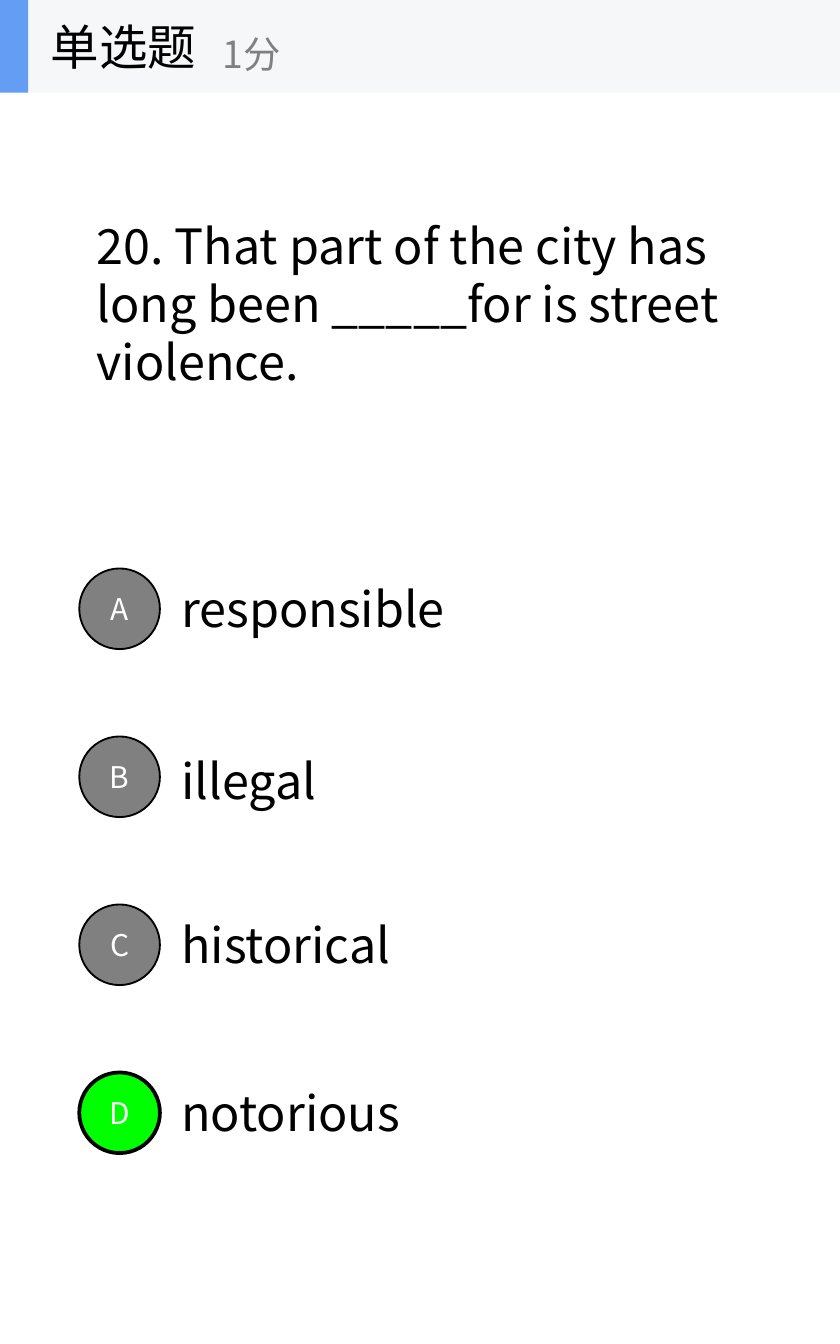
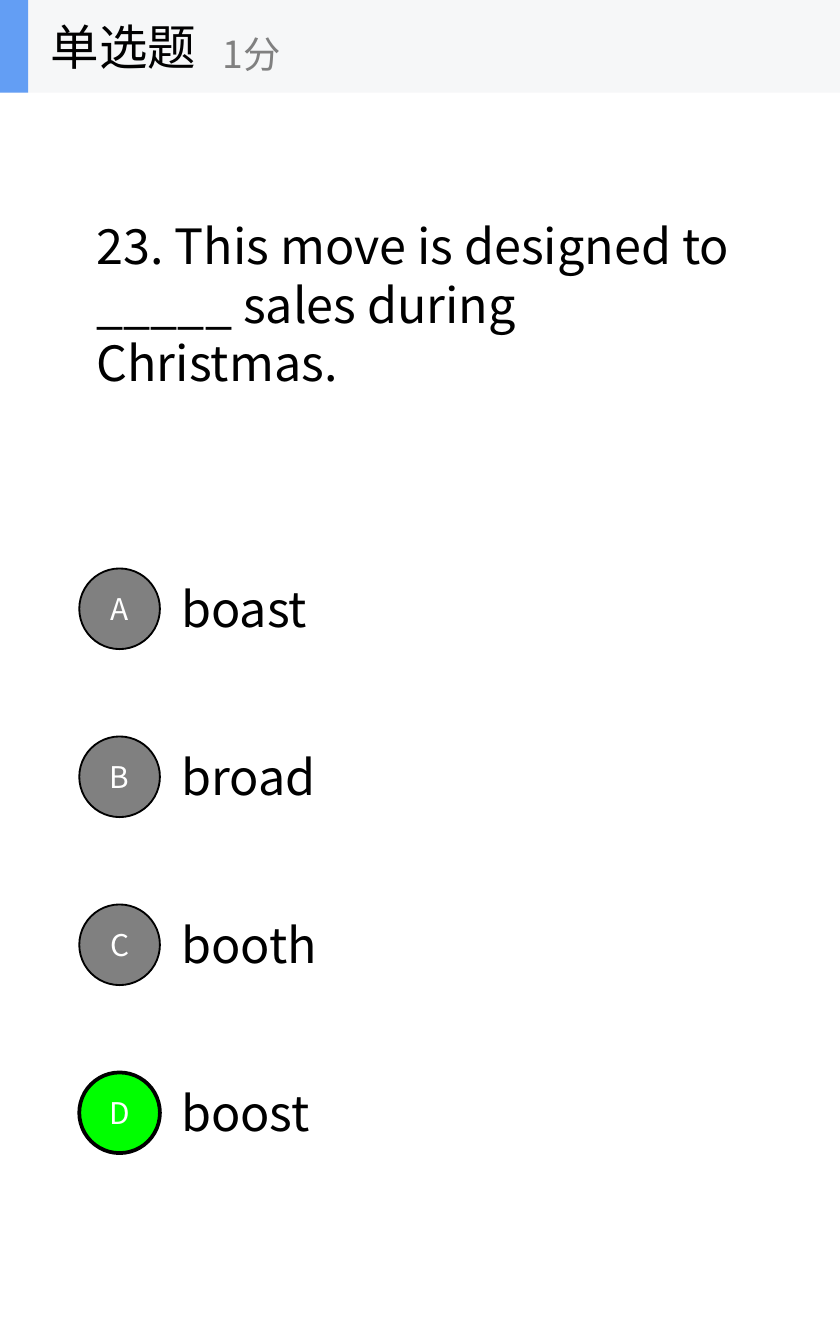
from pptx import Presentation
from pptx.dml.color import RGBColor
from pptx.enum.shapes import MSO_SHAPE
from pptx.enum.text import MSO_ANCHOR, MSO_AUTO_SIZE, PP_ALIGN
from pptx.oxml.ns import qn
from pptx.util import Inches, Pt
from lxml.etree import SubElement

WIDE, HIGH = Inches(6.25), Inches(10)
COLS, ROWS = 25, 40
FONT = "Noto Sans CJK SC"
HUES = {
    "ink": "000000",
    "page": "FFFFFF",
    "gray": "808080",
    "band": "F6F7F8",
    "blue": "639EF4",
    "right": "00FF00",
}
BAND = 2.76
FIRST, STEP = 16.92, 5
DISC = 2.4

TASKS = [
    {
        "ask": "20. That part of the city has long been _____for is street violence.",
        "box": (2.48, 6.2, 20.64, 5.64),
        "picks": [("responsible", 13.64, 0), ("illegal", 14.88, 0.12),
                  ("historical", 14.88, 0), ("notorious", 11.36, 0)],
        "key": "D",
    },
    {
        "ask": "23. This move is designed to _____ sales during Christmas.",
        "box": (2.48, 6.24, 20, 5.6),
        "picks": [("boast", 5.04, 0), ("broad", 5.32, 0),
                  ("booth", 5.4, 0), ("boost", 5.2, 0)],
        "key": "D",
    },
]


def hue(name):
    return RGBColor.from_string(HUES[name])


def place(left, top, width, height):
    col, row = WIDE / COLS, HIGH / ROWS
    return [round(n) for n in (left * col, top * row, width * col, height * row)]


def write(shape, text, size=26, color="ink", align=PP_ALIGN.LEFT, wrap=True, grow=False):
    frame = shape.text_frame
    frame.word_wrap = wrap
    frame.auto_size = MSO_AUTO_SIZE.SHAPE_TO_FIT_TEXT if grow else MSO_AUTO_SIZE.NONE
    frame.vertical_anchor = MSO_ANCHOR.MIDDLE
    para = frame.paragraphs[0]
    para.alignment = align
    run = para.add_run()
    run.text = text
    run.font.size = Pt(size)
    run.font.color.rgb = hue(color)
    run.font.name = FONT
    SubElement(run.font._element, qn("a:ea"), typeface=FONT)


def label(shapes, box, text, **style):
    write(shapes.add_textbox(*place(*box)), text, **style)


def block(shapes, kind, box, fill, line=0):
    shape = shapes.add_shape(kind, *place(*box))
    shape.shadow.inherit = False
    shape.fill.solid()
    shape.fill.fore_color.rgb = hue(fill)
    if line:
        shape.line.color.rgb = hue("ink")
        shape.line.width = Pt(line)
    else:
        shape.line.fill.background()
    return shape


def header(slide):
    shapes = slide.shapes.add_group_shape().shapes
    block(shapes, MSO_SHAPE.RECTANGLE, (0, 0, COLS, BAND), "band")
    block(shapes, MSO_SHAPE.RECTANGLE, (0, 0, 0.84, BAND), "blue")
    label(shapes, (1.12, 0, 8.32, BAND), "单选题", wrap=False)
    label(shapes, (6.24, 0.48, 10, 2.24), "1分", size=20, color="gray", wrap=False)


def choice(slide, index, letter, pick, right):
    word, width, nudge = pick
    top = FIRST + index * STEP
    label(slide.shapes, (5, top + 0.12 + nudge, width, 2.14), word, grow=True)
    fill, line = ("right", 2) if right else ("gray", 1)
    disc = block(slide.shapes, MSO_SHAPE.OVAL, (2.36, top, DISC, DISC), fill, line)
    write(disc, letter, size=16, color="page", align=PP_ALIGN.CENTER)


def quiz(deck, task):
    slide = deck.slides.add_slide(deck.slide_layouts[6])
    slide.background.fill.solid()
    slide.background.fill.fore_color.rgb = hue("page")
    label(slide.shapes, task["box"], task["ask"], grow=True)
    for index, (letter, pick) in enumerate(zip("ABCD", task["picks"])):
        choice(slide, index, letter, pick, letter == task["key"])
    header(slide)


def main():
    deck = Presentation()
    deck.slide_width, deck.slide_height = WIDE, HIGH
    for task in TASKS:
        quiz(deck, task)
    deck.save("out.pptx")


if __name__ == "__main__":
    main()
